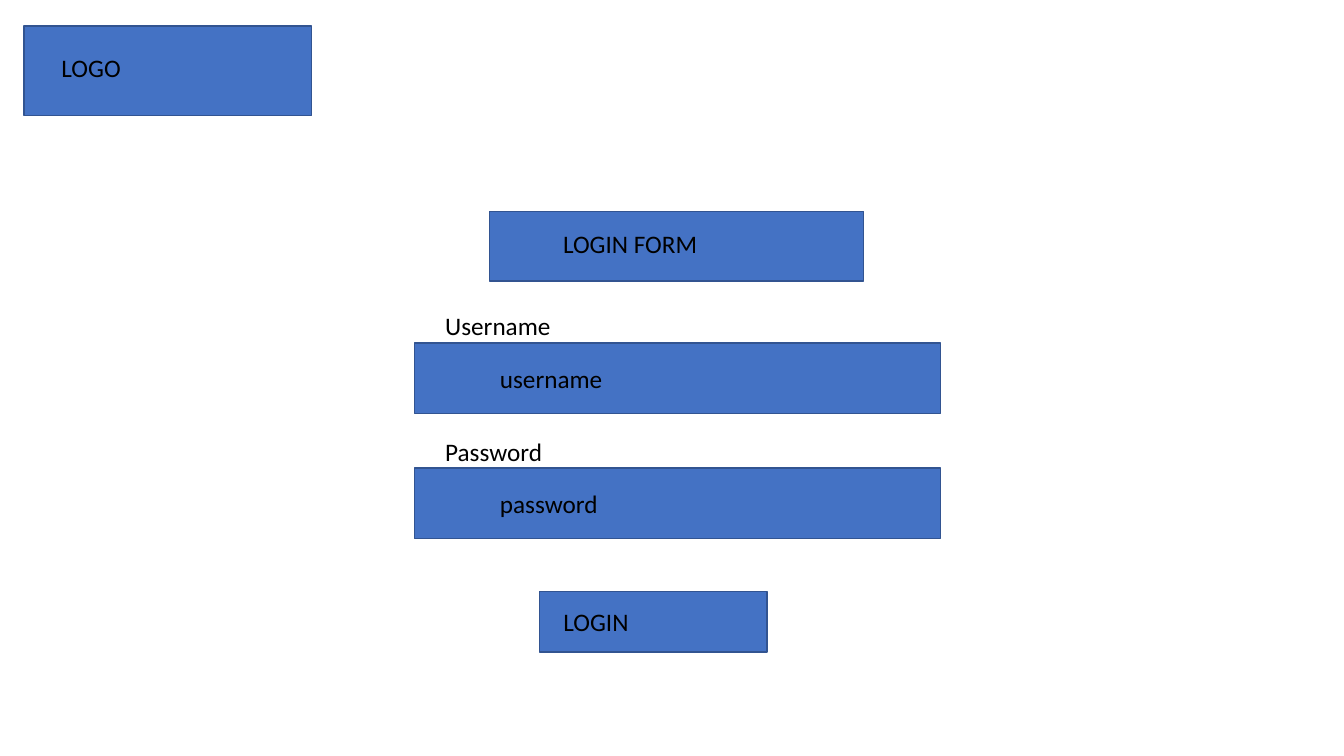
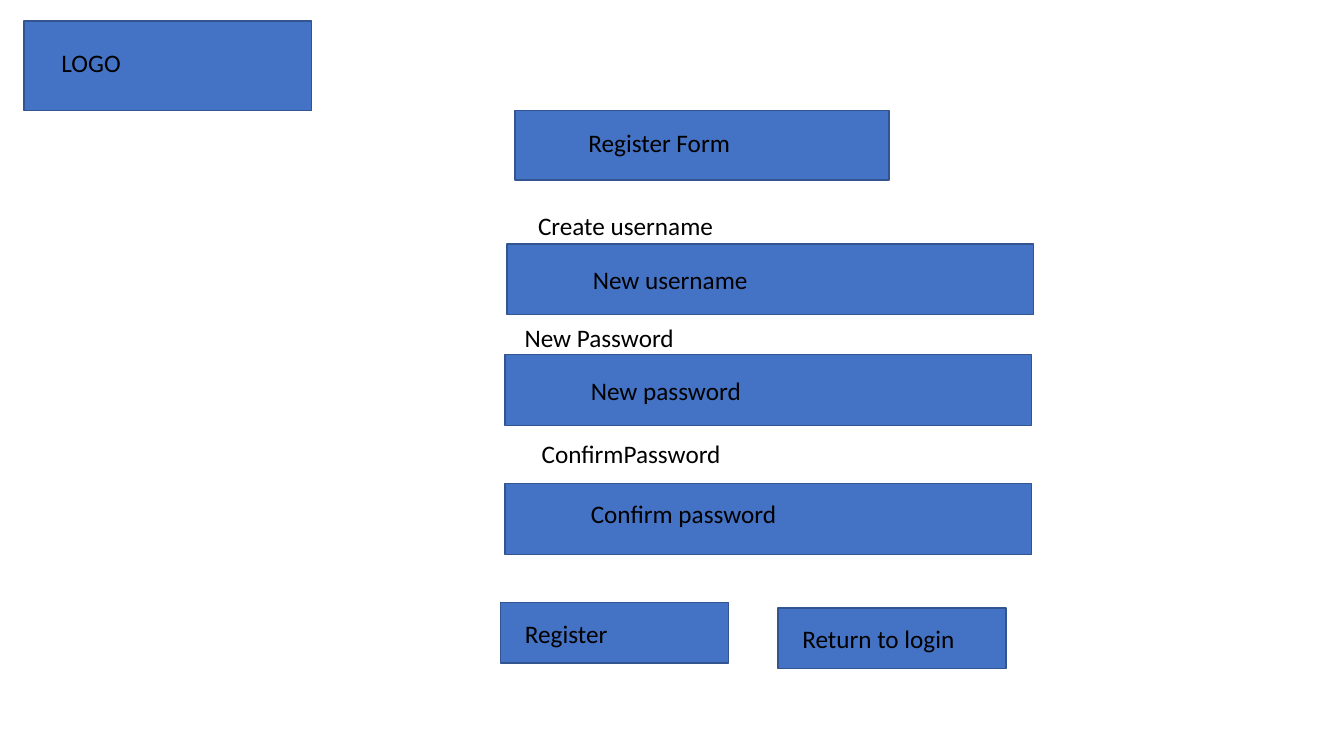
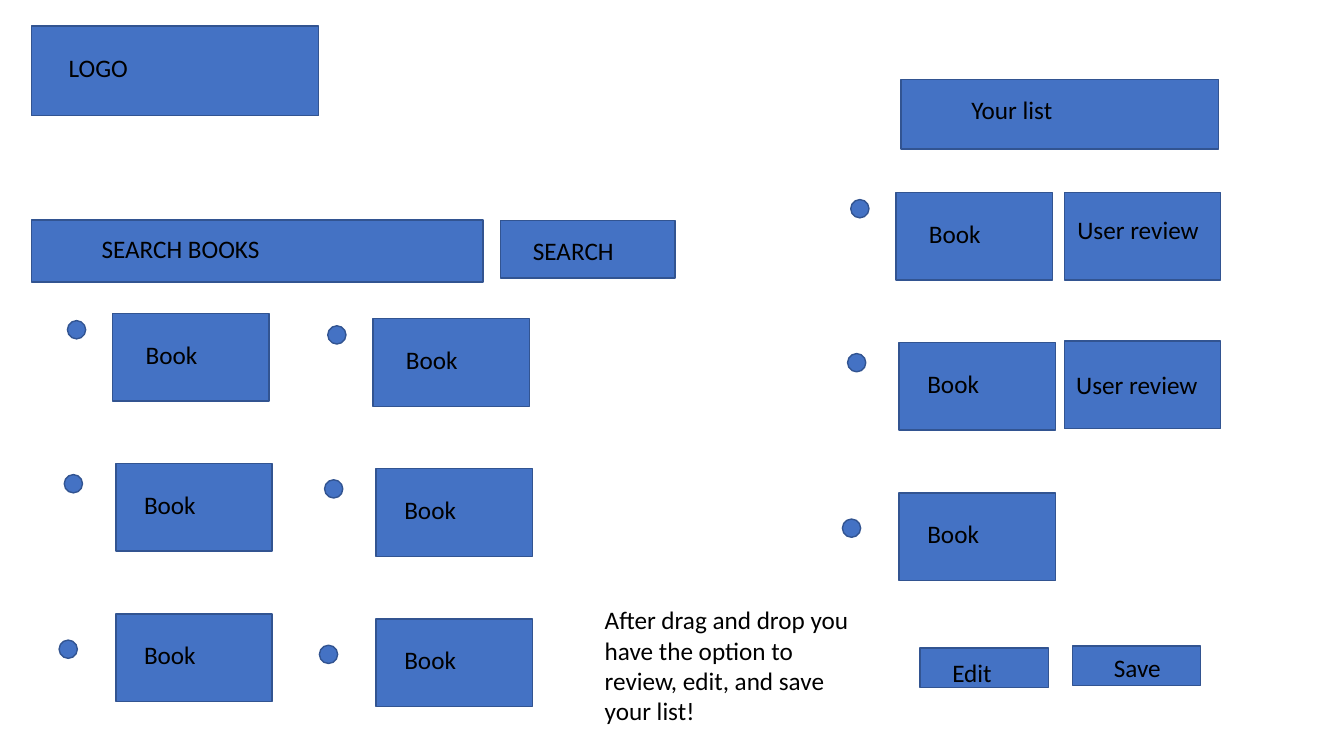
from dataclasses import dataclass

from pptx import Presentation
from pptx.dml.color import RGBColor
from pptx.enum.shapes import MSO_SHAPE as Preset
from pptx.enum.text import MSO_ANCHOR as Anchor
from pptx.enum.text import MSO_AUTO_SIZE as AutoSize
from pptx.enum.text import PP_ALIGN as Align
from pptx.shapes.autoshape import Shape
from pptx.slide import Slide
from pptx.text.text import TextFrame
from pptx.util import Cm, Pt

COLOURS = {"page": "FFFFFF", "block": "4472C4", "border": "325491", "text": "000000"}
FONT = "Calibri"
FONT_SIZE = 18
BLANK_LAYOUT = 6

Pair = tuple[float, float]


@dataclass(frozen=True)
class Block:
    """A kind of wireframe block: its size and where its text starts, in cm."""
    size: Pair
    inset: Pair


@dataclass(frozen=True)
class Caption:
    text: str
    at: Pair
    size: Pair = (5.54, 1.02)


@dataclass(frozen=True)
class Item:
    block: Block
    text: str
    at: Pair


LOGO = Block((7.24, 2.26), (0.94, 0.66))
HEADING = Block((9.43, 1.75), (1.85, 0.42))
FIELD = Block((13.26, 1.78), (2.16, 0.51))
CONFIRM_FIELD = Block(FIELD.size, (2.16, 0.36))
BUTTON = Block((5.74, 1.52), (0.61, 0.38))
SEARCH_BAR = Block((11.38, 1.57), (1.77, 0.33))
SEARCH_BUTTON = Block((4.39, 1.45), (0.81, 0.36))
LIST_HEADING = Block((8, 1.75), (1.77, 0.36))
FIRST_BOOK = Block((3.94, 2.21), (0.83, 0.64))
BOOK = Block(FIRST_BOOK.size, (0.71, 0.64))
FIRST_REVIEW = Block(FIRST_BOOK.size, (0.33, 0.54))
REVIEW = Block(FIRST_BOOK.size, (0.3, 0.71))
EDIT_BUTTON = Block((3.23, 0.99), (0.81, 0.23))
SAVE_BUTTON = Block(EDIT_BUTTON.size, (1.04, 0.16))

# Offsets from the top left corner of a book column
BOOK_OFFSETS = ((FIRST_BOOK, (0, 0)), (BOOK, (0.08, 3.78)), (BOOK, (0.08, 7.57)))
DOT_OFFSETS = ((-1.14, 0.18), (-1.22, 4.06), (-1.35, 8.23))
DOT_SIZE = (0.46, 0.46)
BOOK_COLUMNS = ((22.58, 4.85), (2.84, 7.9), (9.4, 8.03))

LOGIN = (
    Item(LOGO, "LOGO", (0.61, 0.66)),
    Item(HEADING, "LOGIN FORM", (12.34, 5.33)),
    Caption("Username", (10.97, 7.7)),
    Item(FIELD, "username", (10.44, 8.64)),
    Caption("Password", (10.97, 10.87)),
    Item(FIELD, "password", (10.44, 11.79)),
    Item(BUTTON, "LOGIN", (13.59, 14.91)),
)
REGISTER = (
    Item(LOGO, "LOGO", (0.61, 0.53)),
    Item(HEADING, "Register Form", (12.98, 2.79)),
    Caption("Create username", (13.31, 5.18)),
    Item(FIELD, "New username", (12.78, 6.15)),
    Caption("New Password", (12.97, 8)),
    Item(FIELD, "New password", (12.73, 8.94)),
    Caption("ConfirmPassword", (13.4, 10.92)),
    Item(CONFIRM_FIELD, "Confirm password", (12.73, 12.19)),
    Item(BUTTON, "Register", (12.62, 15.19)),
    Item(BUTTON, "Return to login", (19.61, 15.32)),
)
BOOK_LIST = (
    Item(LOGO, "LOGO", (0.79, 0.66)),
    Item(SEARCH_BAR, "SEARCH BOOKS", (0.79, 5.54)),
    Item(SEARCH_BUTTON, "SEARCH", (12.62, 5.56)),
    Item(LIST_HEADING, "Your list", (22.71, 2.01)),
    Item(FIRST_REVIEW, "User review", (26.82, 4.85)),
    Item(REVIEW, "User review", (26.82, 8.59)),
    Item(EDIT_BUTTON, "Edit", (23.19, 16.33)),
    Item(SAVE_BUTTON, "Save", (27.03, 16.28)),
    Caption("After drag and drop you have the option to review, edit, and save your list!",
            (14.99, 15.11), (7.19, 3.33)),
)


def colour(name: str) -> RGBColor:
    return RGBColor.from_string(COLOURS[name])


def write(frame: TextFrame, text: str) -> None:
    frame.word_wrap = True
    frame.vertical_anchor = Anchor.TOP
    paragraph = frame.paragraphs[0]
    paragraph.alignment = Align.LEFT
    run = paragraph.add_run()
    run.text = text
    run.font.name = FONT
    run.font.size = Pt(FONT_SIZE)
    run.font.color.rgb = colour("text")


def draw_outline(slide: Slide, preset: Preset, at: Pair, size: Pair) -> Shape:
    """Draw a filled and bordered shape without text."""
    outline = slide.shapes.add_shape(preset, *map(Cm, at + size))
    outline.shadow.inherit = False
    outline.fill.solid()
    outline.fill.fore_color.rgb = colour("block")
    outline.line.color.rgb = colour("border")
    outline.line.width = Pt(1)
    return outline


def draw_item(slide: Slide, item: Item) -> None:
    frame = draw_outline(slide, Preset.RECTANGLE, item.at, item.block.size).text_frame
    frame.margin_left, frame.margin_top = map(Cm, item.block.inset)
    frame.margin_right = frame.margin_bottom = 0
    write(frame, item.text)


def draw_caption(slide: Slide, caption: Caption) -> None:
    frame = slide.shapes.add_textbox(*map(Cm, caption.at + caption.size)).text_frame
    write(frame, caption.text)
    frame.auto_size = AutoSize.SHAPE_TO_FIT_TEXT


def draw_book_column(slide: Slide, origin: Pair) -> None:
    left, top = origin
    for (block, (dx, dy)), (dot_dx, dot_dy) in zip(BOOK_OFFSETS, DOT_OFFSETS):
        draw_item(slide, Item(block, "Book", (left + dx, top + dy)))
        draw_outline(slide, Preset.OVAL, (left + dot_dx, top + dot_dy), DOT_SIZE)


def add_screen(deck: Presentation, parts: tuple[Item | Caption, ...]) -> Slide:
    slide = deck.slides.add_slide(deck.slide_layouts[BLANK_LAYOUT])
    slide.background.fill.solid()
    slide.background.fill.fore_color.rgb = colour("page")
    for part in parts:
        if isinstance(part, Item):
            draw_item(slide, part)
        else:
            draw_caption(slide, part)
    return slide


def main() -> None:
    deck = Presentation()
    deck.slide_width, deck.slide_height = Cm(33.87), Cm(19.05)
    add_screen(deck, LOGIN)
    add_screen(deck, REGISTER)
    book_screen = add_screen(deck, BOOK_LIST)
    for origin in BOOK_COLUMNS:
        draw_book_column(book_screen, origin)
    deck.save("out.pptx")


if __name__ == "__main__":
    main()
